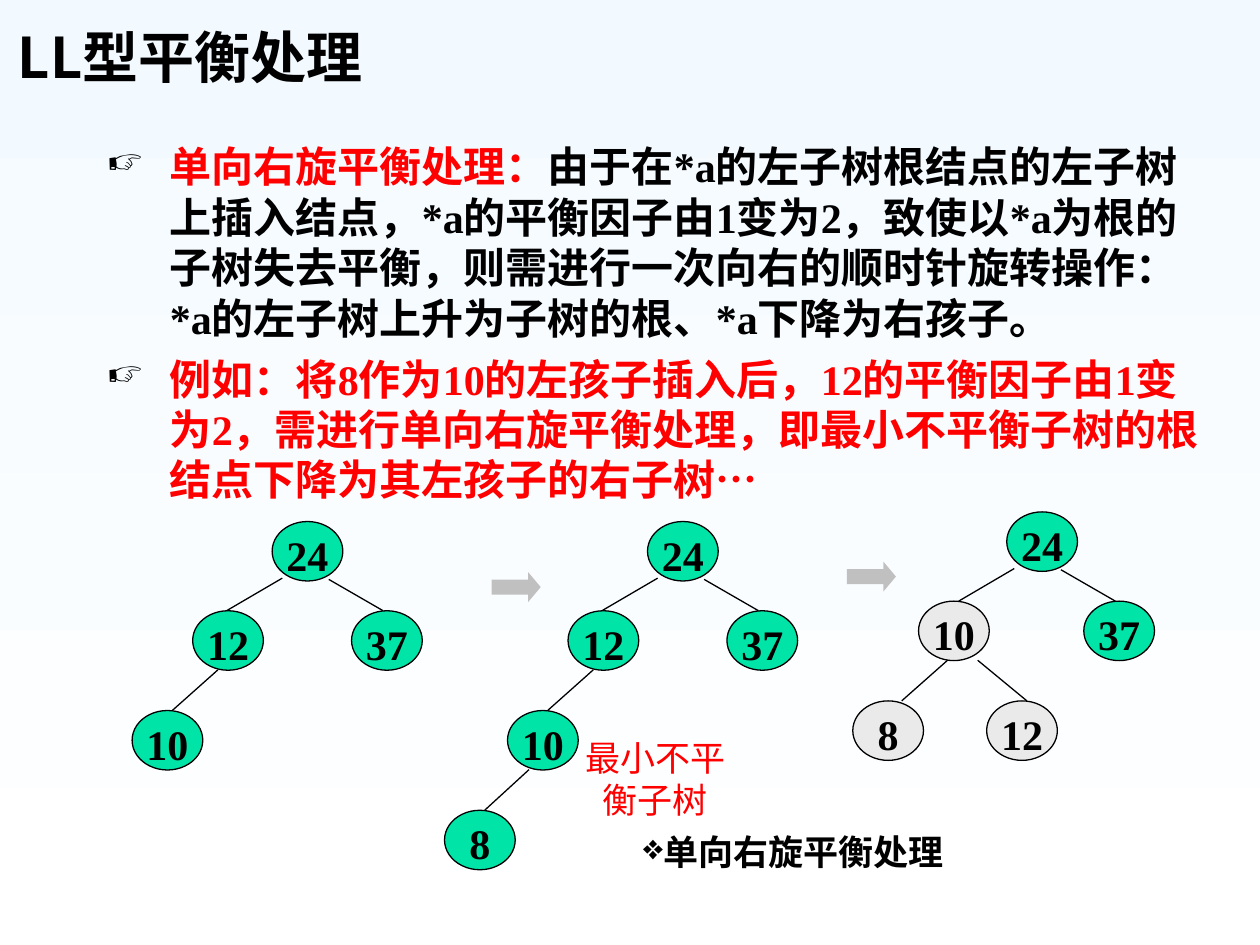
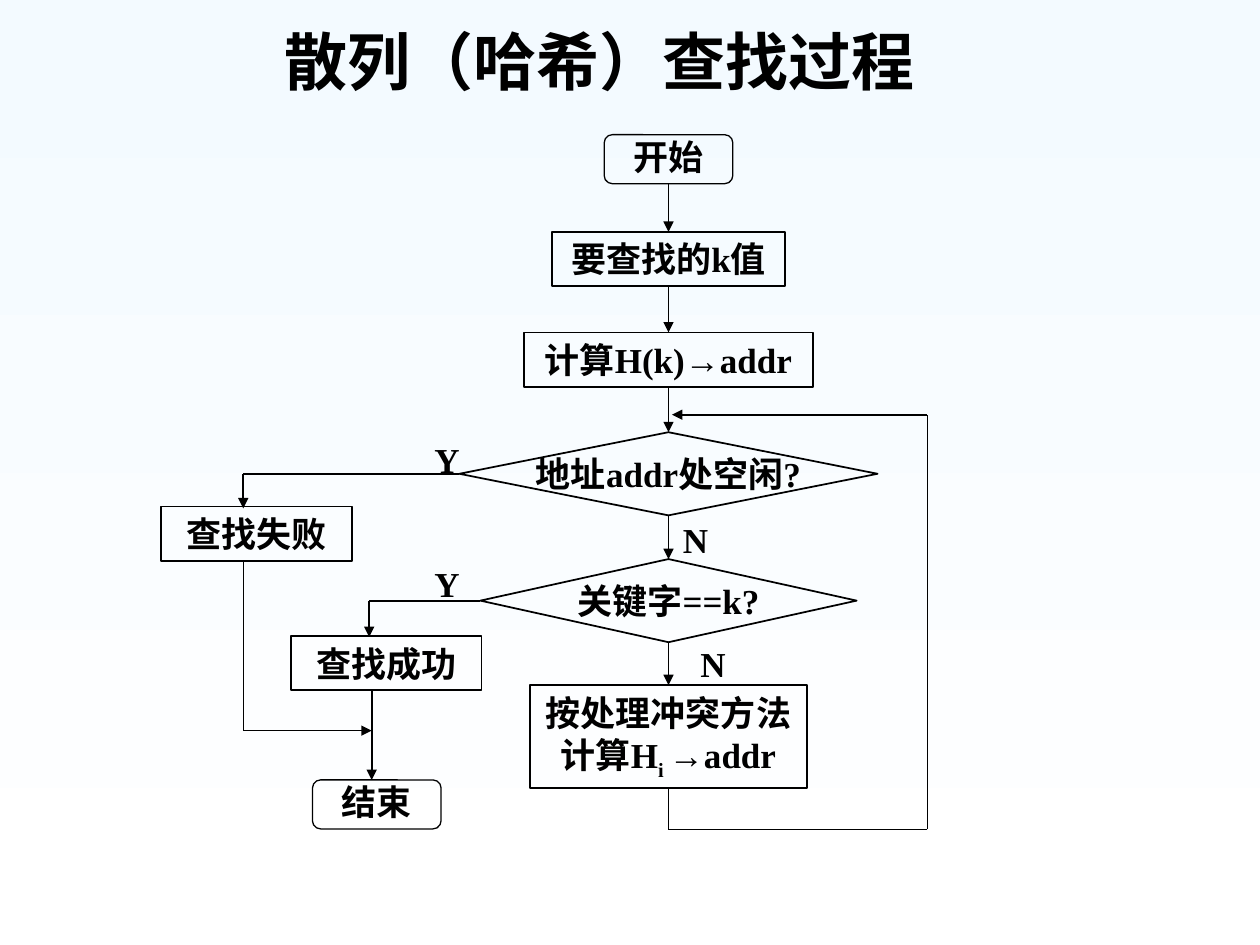
from dataclasses import dataclass
from typing import NamedTuple

from pptx import Presentation
from pptx.dml.color import RGBColor
from pptx.enum.shapes import MSO_CONNECTOR, MSO_SHAPE as Preset
from pptx.enum.text import MSO_ANCHOR as Anchor, PP_ALIGN as Align
from pptx.oxml.ns import qn
from pptx.util import Pt
from lxml.etree import SubElement

# Shared look
BLACK = RGBColor(0x00, 0x00, 0x00)
WHITE = RGBColor(0xFF, 0xFF, 0xFF)
RED = RGBColor(0xFF, 0x00, 0x00)
SKY = RGBColor(0xF3, 0xFA, 0xFF)
GREEN = RGBColor(0x00, 0xE4, 0xA8)
PALE = RGBColor(0xEA, 0xEA, 0xEA)
SILVER = RGBColor(0xC0, 0xC0, 0xC0)
SERIF, HAN, SANS = "Times New Roman", "Noto Sans CJK SC", "Cabin"
TEXT_INSETS = (7.2, 3.6, 7.2, 3.6)
TOP, LEFT, BOTTOM, RIGHT = range(4)


class Frame(NamedTuple):
    left: float
    top: float
    width: float
    height: float


class Span(NamedTuple):
    text: str
    color: RGBColor = BLACK
    baseline: int = 0


class Joint(NamedTuple):
    shape: object
    side: int


@dataclass(frozen=True)
class Node:
    """A tree node, placed relative to the root; leave and arrive bound its edge."""
    label: str
    dx: float = 0
    dy: float = 0
    parent: int = -1
    leave: tuple = ()
    arrive: float = 23
    fill: RGBColor = GREEN


@dataclass(frozen=True)
class Step:
    """A flow chart box, placed by its horizontal centre."""
    name: str
    spans: tuple
    preset: Preset
    center: float
    top: float
    width: float
    height: float = 31
    insets: tuple = TEXT_INSETS
    line_width: float = 1
    spacing: float = 1
    wrap: bool = False


def add_bullet(para, symbol: str, size: int, hang: float) -> None:
    props = para._p.get_or_add_pPr()
    props.set("marL", str(Pt(hang)))
    props.set("indent", str(-Pt(hang)))
    color = SubElement(props, qn("a:buClr"))
    SubElement(color, qn("a:srgbClr")).set("val", str(BLACK))
    SubElement(props, qn("a:buSzPct")).set("val", str(size * 1000))
    SubElement(props, qn("a:buChar")).set("char", symbol)


def write_text(shape, *paragraphs, size=20, font=SERIF, bold=True, align=Align.LEFT,
               anchor=Anchor.TOP, insets=TEXT_INSETS, wrap=True, spacing=1,
               gap=0, bullet="", bullet_size=100, hang=0) -> None:
    """Write each paragraph, given as a sequence of spans."""
    frame = shape.text_frame
    frame.word_wrap, frame.vertical_anchor = wrap, anchor
    (frame.margin_left, frame.margin_top,
     frame.margin_right, frame.margin_bottom) = map(Pt, insets)
    for index, spans in enumerate(paragraphs):
        para = frame.add_paragraph() if index else frame.paragraphs[0]
        if bullet:
            add_bullet(para, bullet, bullet_size, hang)
        para.alignment, para.line_spacing = align, spacing
        if index:
            para.space_before = Pt(gap)
        for span in spans:
            run = para.add_run()
            run.text = span.text
            run.font.size, run.font.bold, run.font.name = Pt(size), bold, font
            run.font.color.rgb = span.color
            props = run._r.get_or_add_rPr()
            SubElement(props, qn("a:ea")).set("typeface", HAN)
            if span.baseline:
                props.set("baseline", str(span.baseline * 1000))


def add_text(page, frame: Frame, *paragraphs, **style):
    box = page.shapes.add_textbox(*map(Pt, frame))
    write_text(box, *paragraphs, **style)
    return box


def add_preset(page, preset: Preset, frame: Frame, fill=None, line_width: float = 0):
    shape = page.shapes.add_shape(preset, *map(Pt, frame))
    shape.shadow.inherit = False
    if fill is None:
        shape.fill.background()
    else:
        shape.fill.solid()
        shape.fill.fore_color.rgb = fill
    if line_width:
        shape.line.color.rgb, shape.line.width = BLACK, Pt(line_width)
    else:
        shape.line.fill.background()
    return shape


def add_path(page, *stops, arrow: bool = False, width: float = 1) -> None:
    """Draw straight lines through points or joints, the last with an arrowhead."""
    for index, (start, end) in enumerate(zip(stops, stops[1:]), 1):
        ends = [(0, 0) if isinstance(stop, Joint) else stop for stop in (start, end)]
        line = page.shapes.add_connector(
            MSO_CONNECTOR.STRAIGHT, *map(Pt, ends[0] + ends[1]))
        if isinstance(start, Joint):
            line.begin_connect(*start)
        if isinstance(end, Joint):
            line.end_connect(*end)
        line.line.color.rgb, line.line.width = BLACK, Pt(width)
        if arrow and index == len(stops) - 1:
            SubElement(line.line._get_or_add_ln(), qn("a:tailEnd")).set("type", "triangle")
        SubElement(line._element.spPr, qn("a:effectLst"))


def add_page(deck):
    page = deck.slides.add_slide(deck.slide_layouts[6])
    fill = page.background.fill
    fill.gradient()
    fill.gradient_angle = 270
    for stop, color in zip(fill.gradient_stops, (SKY, WHITE)):
        stop.color.rgb = color
    return page


# Trees of the first slide
BEFORE = (
    Node("24"),
    Node("37", 45.4, 51, 0, (32.4, 33.1), 18),
    Node("12", -45.4, 51, 0, (5.8, 32.4), 19.4),
    Node("10", -80, 108, 2, (14.4, 33.8)),
)
INSERTED = BEFORE + (Node("8", -116, 165, 3, (12.3, 33.8)),)
ROTATED = (
    Node("24"),
    Node("37", 44, 51, 0, (31, 33.1), 18),
    Node("10", -50.4, 51, 0, (4.3, 32.4), fill=PALE),
    Node("12", -11.5, 108, 2, (33.8, 33.8), fill=PALE),
    Node("8", -88, 108, 2, (16.6, 33.8), 28, PALE),
)


def add_tree(page, left: float, top: float, nodes: tuple) -> None:
    for node in nodes:
        x, y = left + node.dx, top + node.dy
        if node.parent >= 0:
            parent = nodes[node.parent]
            leave_x, leave_y = node.leave
            add_path(page, (left + parent.dx + leave_x, top + parent.dy + leave_y),
                     (x + node.arrive, y), width=0.75)
        disc = add_preset(page, Preset.OVAL, Frame(x, y, 40.4, 34), node.fill, 0.75)
        write_text(disc, [Span(node.label)], size=24, align=Align.CENTER,
                   insets=(0, 8.6, 0, 0), spacing=0.64)


def build_rotation(deck) -> None:
    page = add_page(deck)
    add_text(page, Frame(3, 3.6, 613, 51), [Span("LL型平衡处理")],
             size=32, font=HAN, anchor=Anchor.BOTTOM)
    caption = add_preset(page, Preset.RECTANGLE, Frame(348.5, 474.5, 210, 30), WHITE)
    write_text(caption, [Span("单向右旋平衡处理")], font=HAN, align=Align.CENTER,
               insets=(0, 0, 0, 0), bullet="❖")
    # Explanation
    add_text(
        page, Frame(54, 77, 646, 232.5),
        [Span("单向右旋平衡处理：", RED),
         Span("由于在*a的左子树根结点的左子树上插入结点，*a的平衡因子由1变为2，"
              "致使以*a为根的子树失去平衡，则需进行一次向右的顺时针旋转操作： "
              "*a的左子树上升为子树的根、*a下降为右孩子。")],
        [Span("例如：将8作为10的左孩子插入后，12的平衡因子由1变为2，需进行单向右旋"
              "平衡处理，即最小不平衡子树的根结点下降为其左孩子的右子树…", RED)],
        size=24, gap=6, bullet="☞", bullet_size=85, hang=36)
    # Trees before, after insertion and after rotation
    add_tree(page, 155.5, 298, BEFORE)
    add_tree(page, 370, 298, INSERTED)
    add_tree(page, 575.3, 292.5, ROTATED)
    for left, top in ((281, 327), (484, 321)):
        arrow = add_preset(page, Preset.RIGHT_ARROW, Frame(left, top, 28, 17), SILVER)
        arrow.adjustments[1] = 0.42
    add_text(page, Frame(320.5, 417.5, 108, 55.5), [Span("最小不平衡子树", RED)],
             font=SANS, bold=False, align=Align.CENTER)


# Boxes of the second slide
AXIS = 382
PROCESS, DECISION = Preset.FLOWCHART_PROCESS, Preset.FLOWCHART_DECISION
TERMINAL = dict(preset=Preset.ROUNDED_RECTANGLE, width=73.5, height=28,
                insets=(7.2, 0.7, 7.2, 0.7), line_width=0.75, spacing=0.9)
STEPS = (
    Step("start", (Span("开始"),), center=AXIS, top=77, **TERMINAL),
    Step("key", (Span("要查找的k值"),), PROCESS, AXIS, 132.5, 133),
    Step("hash", (Span("计算H(k)→addr"),), PROCESS, AXIS, 190, 165.5),
    Step("free", (Span("地址addr处空闲?"),), DECISION, AXIS, 247, 239, 47.5),
    Step("match", (Span("关键字==k?"),), DECISION, AXIS, 319.5, 215, 47.5),
    Step("rehash", (Span("按处理冲突方法计算H"), Span("i ", baseline=-25), Span("→addr")),
         PROCESS, AXIS, 391.5, 158.5, 59, insets=(1.4, 3.6, 1.4, 3.6), wrap=True),
    Step("failure", (Span("查找失败"),), PROCESS, 146.5, 289.5, 109),
    Step("success", (Span("查找成功"),), PROCESS, 220.7, 363.5, 109),
    Step("end", (Span("结束"),), center=215.3, top=445.7, **TERMINAL),
)


def add_step(page, step: Step):
    frame = Frame(step.center - step.width / 2, step.top, step.width, step.height)
    box = add_preset(page, step.preset, frame, line_width=step.line_width)
    write_text(box, step.spans, align=Align.CENTER, anchor=Anchor.MIDDLE,
               insets=step.insets, wrap=step.wrap, spacing=step.spacing)
    return box


def build_hash_search(deck) -> None:
    page = add_page(deck)
    add_text(page, Frame(155.5, 9.4, 422.5, 50.5), [Span("散列（哈希）查找过程")], size=36)
    boxes = {step.name: add_step(page, step) for step in STEPS}
    # Main column
    column = ("start", "key", "hash", "free", "match", "rehash")
    for upper, lower in zip(column, column[1:]):
        add_path(page, Joint(boxes[upper], BOTTOM), Joint(boxes[lower], TOP), arrow=True)
    # Branches to failure and success
    add_path(page, Joint(boxes["free"], LEFT), (139, 270.75), (139, 290.5), arrow=True)
    add_path(page, Joint(boxes["match"], LEFT), (211, 343.25), (211, 364), arrow=True)
    # Way to the end
    add_path(page, (212.4, 394.5), (212.4, 445.7), arrow=True)
    add_path(page, (139, 320.5), (139, 417.5), width=0.75)
    add_path(page, (139, 417.5), (212.4, 417.5), arrow=True)
    # Loop back to the test for a free address
    add_path(page, Joint(boxes["rehash"], BOTTOM), (AXIS, 474), (530, 474),
             (530, 237), (384, 237), arrow=True)
    # Answers
    for answer, left, top in (("Y", 241, 247), ("N", 383, 292.5),
                              ("Y", 241, 318), ("N", 393, 363.5)):
        add_text(page, Frame(left, top, 29, 31.5), [Span(answer)],
                 align=Align.CENTER, wrap=False)


def main() -> None:
    deck = Presentation()
    deck.slide_width, deck.slide_height = Pt(720), Pt(540)
    build_rotation(deck)
    build_hash_search(deck)
    deck.save("out.pptx")


if __name__ == "__main__":
    main()
